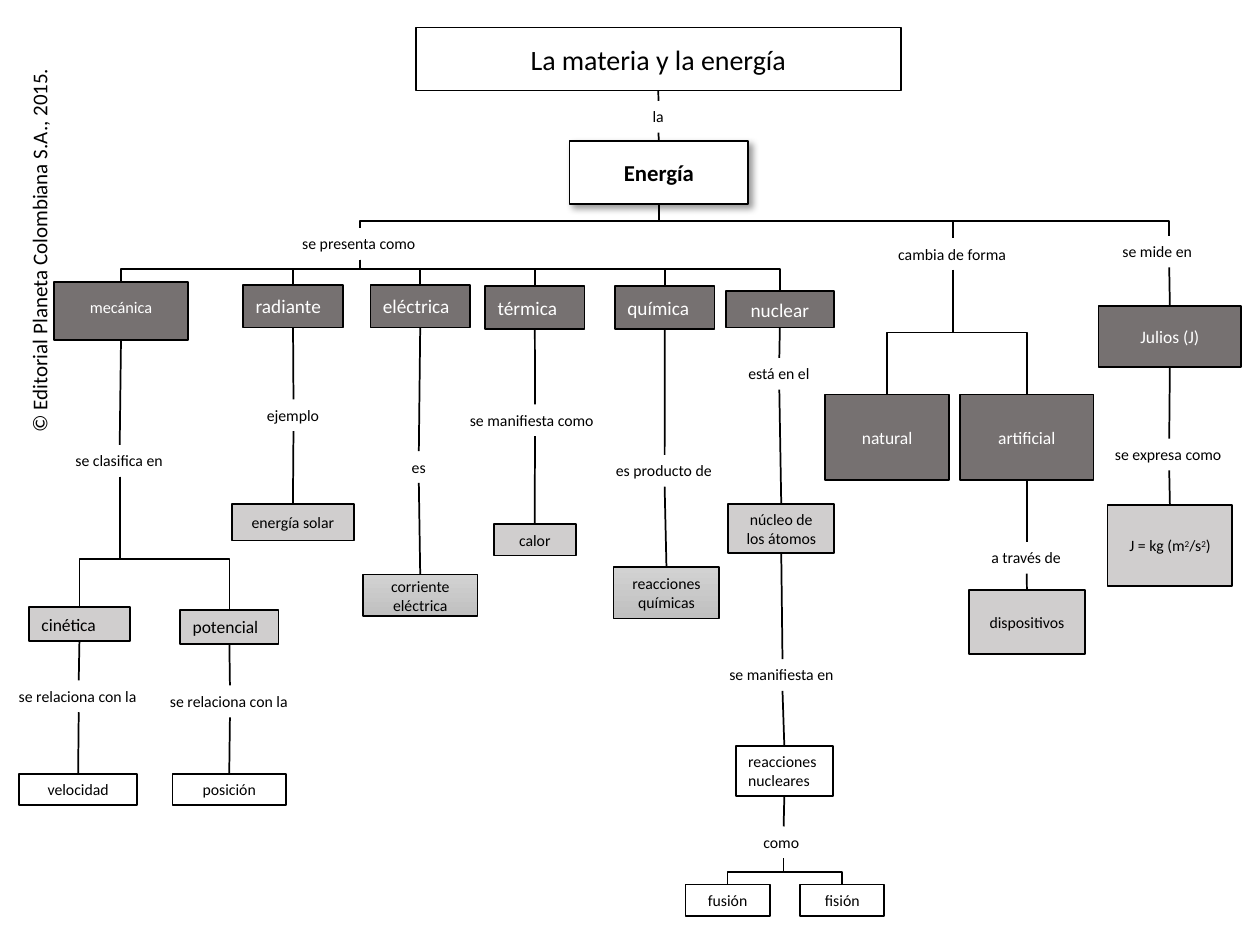
"""Build a one-slide concept map about matter and energy."""
from lxml.etree import SubElement
from pptx import Presentation
from pptx.dml.color import RGBColor
from pptx.enum.shapes import MSO_CONNECTOR as Link, MSO_SHAPE as Preset
from pptx.enum.text import MSO_ANCHOR as Anchor, MSO_AUTO_SIZE as Fit, PP_ALIGN as Align
from pptx.oxml.ns import qn
from pptx.util import Pt

BLACK = RGBColor(0x00, 0x00, 0x00)
WHITE = RGBColor(0xFF, 0xFF, 0xFF)
DARK = RGBColor(0x76, 0x71, 0x71)
LIGHT = RGBColor(0xD0, 0xCE, 0xCE)
SHEEN = (RGBColor(0xD2, 0xD2, 0xD2), RGBColor(0xC0, 0xC0, 0xC0))


class ConceptMap:
    font_name = "Calibri"
    label_height = 18.2

    def __init__(self, slide):
        self.slide = slide

    def put_text(self, shape, text, size, color=BLACK, align=Align.LEFT, bold=False):
        """Fill in text, raising whatever stands between carets."""
        paragraph = shape.text_frame.paragraphs[0]
        for index, part in enumerate(text.split("^")):
            if part:
                run = paragraph.add_run()
                run.text = part
                if index % 2:
                    run.font._element.set("baseline", "30000")
        paragraph.alignment = align
        font = paragraph.font
        font.name, font.size, font.bold = self.font_name, Pt(size), bold
        font.color.rgb = color

    def outline(self, shape, fill):
        if isinstance(fill, tuple) and not isinstance(fill, RGBColor):
            shape.fill.gradient()
            shape.fill.gradient_angle = 270
            for stop, color in zip(shape.fill.gradient_stops, fill):
                stop.color.rgb = color
        else:
            shape.fill.solid()
            shape.fill.fore_color.rgb = fill
        shape.line.color.rgb = BLACK
        shape.line.width = Pt(1)
        frame = shape.text_frame
        frame.word_wrap, frame.auto_size = True, Fit.NONE
        frame.vertical_anchor = Anchor.MIDDLE

    def title(self, text, left, top, width, height):
        title = self.slide.shapes.title
        title.left, title.top = Pt(left), Pt(top)
        title.width, title.height = Pt(width), Pt(height)
        self.outline(title, WHITE)
        self.put_text(title, text, 16, align=Align.CENTER)
        return title

    def concept(self, text, left, top, width, height, fill=WHITE, size=9,
                align=Align.CENTER, bold=False):
        concept = self.slide.shapes.add_shape(
            Preset.RECTANGLE, Pt(left), Pt(top), Pt(width), Pt(height))
        concept.shadow.inherit = False
        self.outline(concept, fill)
        self.put_text(concept, text, size, WHITE if fill == DARK else BLACK, align, bold)
        return concept

    def cast_shadow(self, concept):
        effects = concept.element.spPr.find(qn("a:effectLst"))
        shadow = SubElement(effects, qn("a:outerShdw"), blurRad=str(Pt(4)),
                            dist=str(Pt(3)), dir="2700000", algn="tl", rotWithShape="0")
        color = SubElement(shadow, qn("a:srgbClr"), val=str(BLACK))
        SubElement(color, qn("a:alpha"), val="40000")

    def label(self, text, left, top, width, size=9, height=label_height, wrap=False):
        label = self.slide.shapes.add_textbox(Pt(left), Pt(top), Pt(width), Pt(height))
        label.text_frame.word_wrap = wrap
        label.text_frame.auto_size = Fit.SHAPE_TO_FIT_TEXT
        self.put_text(label, text, size)
        return label

    def connect(self, kind, upper, lower):
        connector = self.slide.shapes.add_connector(kind, 0, 0, 0, 0)
        connector.begin_connect(upper, 2)
        connector.end_connect(lower, 0)
        connector.line.color.rgb = BLACK
        connector.line.width = Pt(1)
        SubElement(connector.element.spPr, qn("a:effectLst"))
        return connector

    def chain(self, *steps):
        for upper, lower in zip(steps, steps[1:]):
            self.connect(Link.STRAIGHT, upper, lower)

    def branch(self, parent, bus, *children):
        """Join a parent to its children through a level line at height bus."""
        for child in children:
            elbow = self.connect(Link.ELBOW, parent, child)
            start_x, start_y = elbow.begin_x, elbow.begin_y
            across, down = elbow.end_x - start_x, elbow.end_y - start_y
            elbow.left = int(start_x + across / 2 - down / 2)
            elbow.top = int(start_y + down / 2 - abs(across) / 2)
            elbow.width, elbow.height = down, abs(across)
            turn = elbow.element.spPr.find(qn("a:xfrm"))
            turn.set("rot", "16200000" if across > 0 else "5400000")
            turn.set("flipH", "1" if across > 0 else "0")
            turn.set("flipV", "0")
            guides = elbow.element.spPr.find(qn("a:prstGeom")).find(qn("a:avLst"))
            share = round((Pt(bus) - start_y) / down * 100000)
            SubElement(guides, qn("a:gd"), name="adj1", fmla=f"val {share}")


def main():
    deck = Presentation()
    deck.slide_width, deck.slide_height = Pt(720), Pt(540)
    chart = ConceptMap(deck.slides.add_slide(deck.slide_layouts[5]))
    concept, label = chart.concept, chart.label

    rights = label("© Editorial Planeta Colombiana S.A., 2015.", -90, 131, 224.6, 12, 21.6)
    rights.rotation = 270

    topic = chart.title("La materia y la energía", 237.6, 15.8, 277.2, 36)
    energy = concept("Energía", 325.4, 80.6, 102.2, 36, size=13, bold=True)
    chart.cast_shadow(energy)
    chart.chain(topic, label("la", 365.8, 57.6, 20.9), energy)

    appears = label("se presenta como", 165.6, 130.3, 79.9)
    changes = label("cambia de forma", 506.2, 136.1, 77)
    measured = label("se mide en", 634.3, 134.6, 67.7, wrap=True)
    chart.branch(energy, 126.2, appears, changes, measured)

    mechanical = concept("^mecánica^", 31, 161.3, 76.3, 33.1, DARK, 16)
    radiant, electric, thermal, chemical = [
        concept(text, left, top, 56.9, 24.5, DARK, 11, Align.JUSTIFY)
        for text, left, top in (("radiante", 139, 162.7), ("eléctrica", 211.7, 162.7),
                                ("térmica", 277.2, 163.4), ("química", 351.4, 163.4))]
    nuclear = concept("nuclear", 414.7, 166.3, 61.9, 20.9, DARK, 11)
    chart.branch(appears, 153.9, mechanical, radiant, electric, thermal, chemical, nuclear)

    classified = label("se clasifica en", 36, 254.2, 64.8)
    kinetic = concept("cinética", 16.6, 347, 57.6, 19.4, LIGHT, 10, Align.LEFT)
    potential = concept("potencial", 103, 348.5, 56.2, 19.4, LIGHT, 10, Align.LEFT)
    chart.chain(mechanical, classified)
    chart.branch(classified, 319.6, kinetic, potential)
    chart.chain(kinetic, label("se relaciona con la", 3.6, 388.8, 82.8),
                concept("velocidad", 10.8, 442.1, 67.7, 18))
    chart.chain(potential, label("se relaciona con la", 90, 391.7, 82.8),
                concept("posición", 98.6, 442.1, 64.8, 18))

    chart.chain(radiant, label("ejemplo", 145.4, 228.2, 44.6),
                concept("energía solar", 132.5, 288, 69.8, 20.9, LIGHT))
    chart.chain(electric, label("es", 228.2, 257.8, 22.3),
                concept("corriente eléctrica", 207.4, 328.3, 65.5, 23.8, SHEEN))
    chart.chain(thermal, label("se manifiesta como", 261.4, 231.1, 88.6),
                concept("calor", 282.2, 299.5, 46.8, 18, LIGHT))
    chart.chain(chemical, label("es producto de", 344.9, 259.9, 69.8),
                concept("reacciones químicas", 350.6, 324, 60.5, 29.5, SHEEN))

    such_as = label("como", 429.1, 472.3, 37.4)
    chart.chain(nuclear, label("está en el", 420.5, 204.5, 49.7),
                concept("núcleo de los átomos", 416.2, 288, 60.5, 28.1, LIGHT),
                label("se manifiesta en", 409.7, 376.6, 74.9),
                concept("reacciones nucleares", 420.5, 426.2, 55.4, 28.8, align=Align.LEFT),
                such_as)
    chart.branch(such_as, 498.3, concept("fusión", 391.7, 505.4, 48.2, 18),
                 concept("fisión", 457.2, 505.4, 48.2, 18))

    natural = concept("natural", 471.6, 225.4, 70.6, 49, DARK, 10)
    artificial = concept("artificial", 548.6, 225.4, 76.3, 49, DARK, 10)
    chart.branch(changes, 190, natural, artificial)
    chart.chain(artificial, label("a través de", 559.4, 309.6, 54.7),
                concept("dispositivos", 553.7, 337, 66.2, 36.7, LIGHT))

    chart.chain(measured, concept("Julios (J)", 627.8, 175, 81.4, 34.6, DARK, 10),
                label("se expresa como", 630, 250.6, 76.3),
                concept("J = kg (m^2^/s^2^)", 632.9, 288.7, 71.3, 46.1, LIGHT))

    deck.save("out.pptx")


if __name__ == "__main__":
    main()
